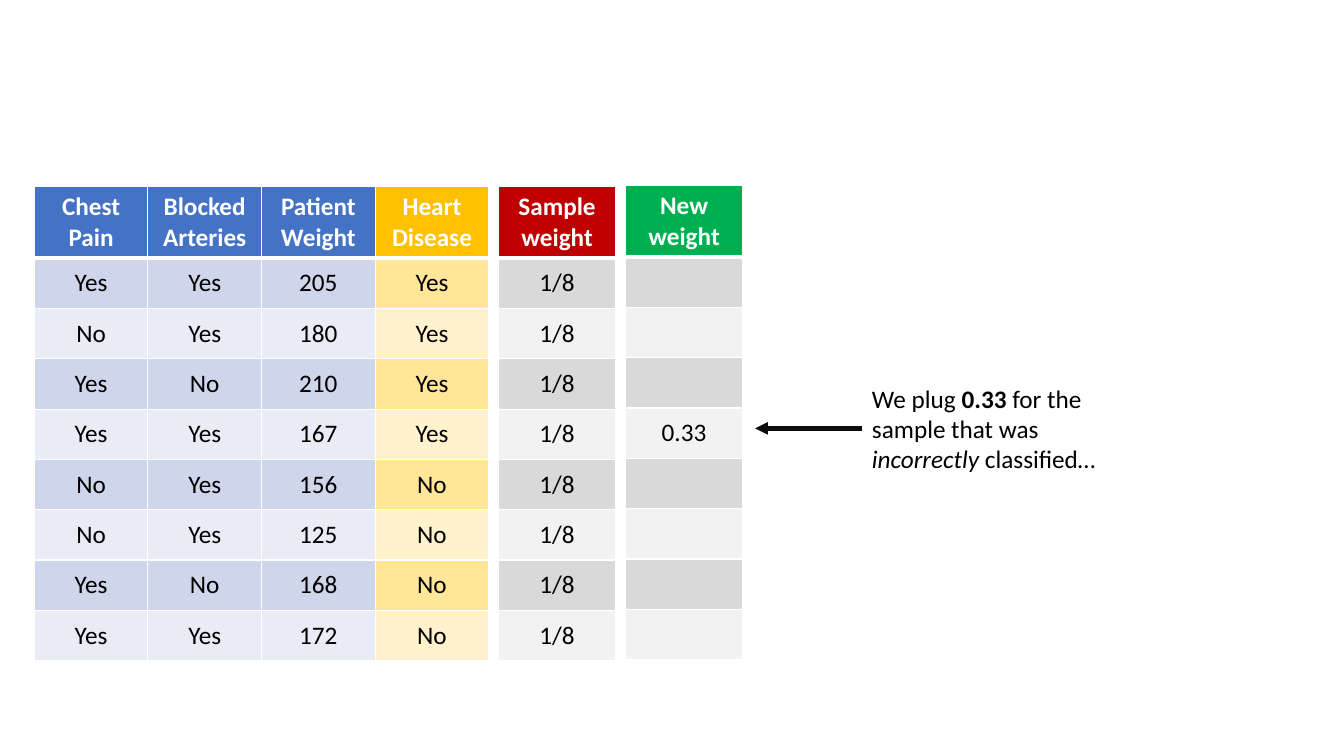
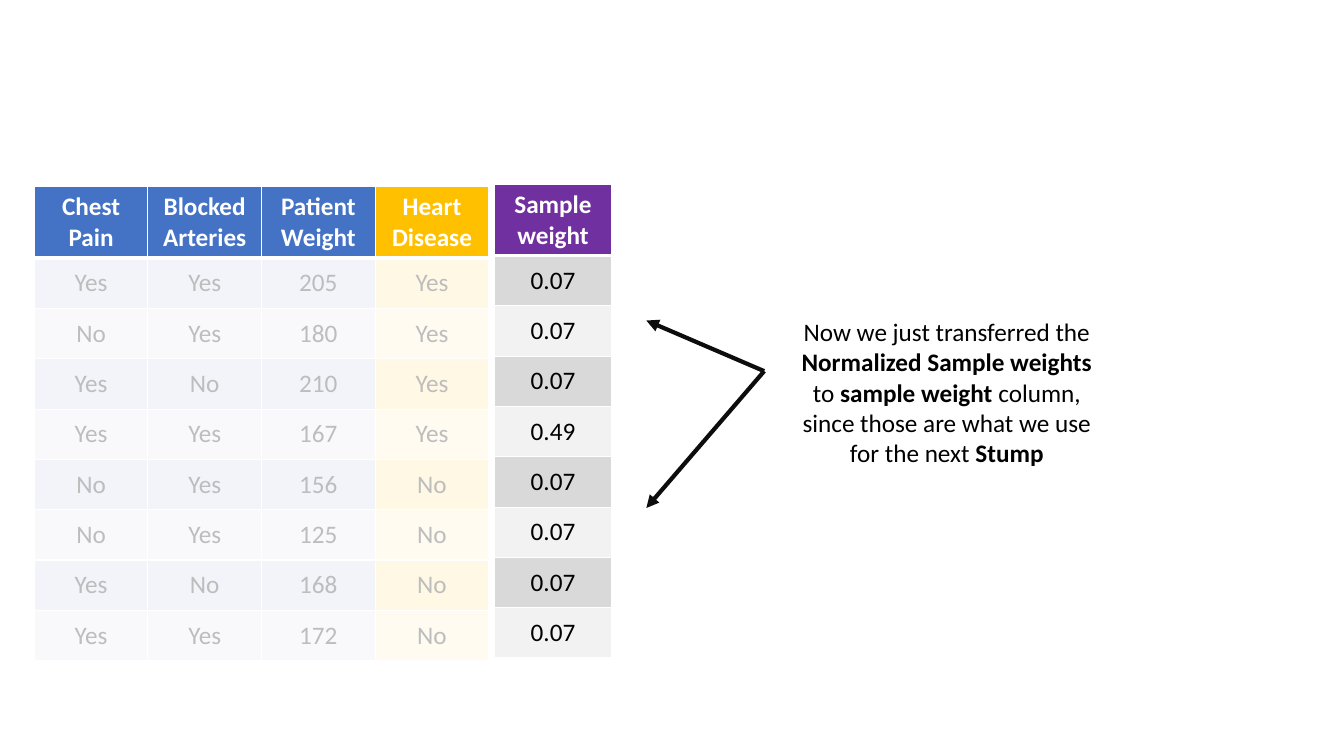
from dataclasses import dataclass

from lxml.etree import SubElement
from pptx import Presentation
from pptx.dml.color import RGBColor
from pptx.enum.shapes import MSO_CONNECTOR, MSO_SHAPE
from pptx.enum.text import MSO_ANCHOR, PP_ALIGN
from pptx.oxml import parse_xml
from pptx.oxml.ns import nsdecls, qn
from pptx.util import Inches, Pt

SLIDE_WIDTH, SLIDE_HEIGHT = Inches(13.33), Inches(7.5)
FONT = "Calibri"
WHITE, BLACK, ARROW = "FFFFFF", "000000", "0D0D0D"
BLUE, AMBER, RED, GREEN, PURPLE = "4472C4", "FFC000", "C00000", "00B050", "7030A0"
BLUE_BANDS = ("CFD5EA", "E9EBF5")
AMBER_BANDS = ("FFE699", "FFF2CC")
GREY_BANDS = ("D9D9D9", "F2F2F2")
HEADER_SHARE, ROW_COUNT = 0.15, 8


@dataclass
class Box:
    """Edges in percent of the slide."""

    left: float
    top: float
    width: float
    height: float

    def point(self, across, down):
        return (
            int(SLIDE_WIDTH * (self.left + across * self.width) / 100),
            int(SLIDE_HEIGHT * (self.top + down * self.height) / 100),
        )

    def extent(self):
        left, top = self.point(0, 0)
        right, bottom = self.point(1, 1)
        return left, top, right - left, bottom - top


@dataclass
class Column:
    heading: str
    values: list
    color: str
    bands: tuple


PATIENT_COLUMNS = [
    Column("Chest Pain", "Yes No Yes Yes No No Yes Yes".split(), BLUE, BLUE_BANDS),
    Column("Blocked\nArteries", "Yes Yes No Yes Yes Yes No Yes".split(), BLUE, BLUE_BANDS),
    Column("Patient Weight", "205 180 210 167 156 125 168 172".split(), BLUE, BLUE_BANDS),
    Column("Heart Disease", ["Yes"] * 4 + ["No"] * 4, AMBER, AMBER_BANDS),
]
PATIENT_BOX = Box(2.55, 24.67, 33.83, 62.67)


def rgb(color):
    return RGBColor.from_string(color)


def write(frame, text, color=BLACK, size=18, bold=False, align=PP_ALIGN.LEFT):
    runs = [(text, "")] if isinstance(text, str) else text
    paragraph = frame.paragraphs[0]
    paragraph.alignment = align
    for content, style in runs:
        for number, line in enumerate(content.split("\n")):
            if number:
                paragraph = frame.add_paragraph()
                paragraph.alignment = align
            run = paragraph.add_run()
            run.text = line
            run.font.name = FONT
            run.font.size = Pt(size)
            run.font.color.rgb = rgb(color)
            run.font.bold = bold or style == "bold"
            run.font.italic = style == "italic"


def set_borders(cell, top, bottom):
    properties = cell._tc.get_or_add_tcPr()
    for position, (side, width) in enumerate(
        [("L", 1), ("R", 1), ("T", top), ("B", bottom)]
    ):
        border = parse_xml(
            f'<a:ln{side} {nsdecls("a")} w="{Pt(width)}"><a:solidFill>'
            f'<a:srgbClr val="{WHITE}"/></a:solidFill></a:ln{side}>'
        )
        properties.insert(position, border)


def fill_cell(cell, text, color, heading):
    cell.fill.solid()
    cell.fill.fore_color.rgb = rgb(color)
    cell.vertical_anchor = MSO_ANCHOR.MIDDLE
    if text:
        write(cell.text_frame, text, color=WHITE if heading else BLACK,
              bold=heading, align=PP_ALIGN.CENTER)


def add_data_table(slide, box, columns):
    left, top, width, height = box.extent()
    table = slide.shapes.add_table(
        ROW_COUNT + 1, len(columns), left, top, width, height
    ).table
    table.horz_banding = False
    header_height = int(height * HEADER_SHARE)
    for number, row in enumerate(table.rows):
        row.height = (height - header_height) // ROW_COUNT if number else header_height
    for x, column in enumerate(columns):
        table.columns[x].width = width // len(columns)
        for y, text in enumerate([column.heading, *column.values]):
            cell = table.cell(y, x)
            color = column.bands[(y - 1) % 2] if y else column.color
            fill_cell(cell, text, color, heading=y == 0)
            set_borders(cell, top=3 if y == 1 else 1, bottom=1 if y else 3)


def add_weight_table(slide, left, top, heading, values, color):
    column = Column(heading, values, color, GREY_BANDS)
    add_data_table(slide, Box(left, top, 8.78, 62.67), [column])


def add_note(slide, box, runs, align=PP_ALIGN.LEFT):
    frame = slide.shapes.add_textbox(*box.extent()).text_frame
    frame.word_wrap = True
    write(frame, runs, align=align)


def add_arrow(slide, box, start, end):
    arrow = slide.shapes.add_connector(
        MSO_CONNECTOR.STRAIGHT, *box.point(*start), *box.point(*end)
    )
    arrow.line.color.rgb = rgb(ARROW)
    arrow.line.width = Pt(3)
    SubElement(arrow.line._get_or_add_ln(), qn("a:tailEnd"), type="triangle")
    SubElement(arrow._element.spPr, qn("a:effectLst"))


def add_veil(slide, box, opacity):
    veil = slide.shapes.add_shape(MSO_SHAPE.RECTANGLE, *box.extent())
    veil.shadow.inherit = False
    veil.fill.solid()
    veil.fill.fore_color.rgb = rgb(WHITE)
    veil.line.fill.background()
    tint = veil._element.spPr.find(qn("a:solidFill"))[0]
    SubElement(tint, qn("a:alpha"), val=str(opacity * 1000))


def build_new_weight_slide(slide):
    add_data_table(slide, PATIENT_BOX, PATIENT_COLUMNS)
    add_weight_table(slide, 37.06, 24.67, "Sample weight", ["1/8"] * ROW_COUNT, RED)
    new_weights = ["", "", "", "0.33", "", "", "", ""]
    add_weight_table(slide, 46.51, 24.53, "New weight", new_weights, GREEN)
    add_note(slide, Box(64.14, 50, 20.86, 13.47), [
        ("We plug ", ""), ("0.33", "bold"), (" for the sample that was ", ""),
        ("incorrectly", "italic"), (" classified…", ""),
    ])
    add_arrow(slide, Box(56.19, 56.67, 7.95, 0), (1, 0), (0, 0))


def build_transfer_slide(slide):
    add_data_table(slide, PATIENT_BOX, PATIENT_COLUMNS)
    add_note(slide, Box(58.14, 41.2, 24.61, 21.6), [
        ("Now we just transferred the ", ""), ("Normalized Sample weights ", "bold"),
        ("to ", ""), ("sample weight ", "bold"),
        ("column, since those are what we use for the next ", ""), ("Stump", "bold"),
    ], align=PP_ALIGN.CENTER)
    add_veil(slide, Box(2.33, 34, 34.06, 53.33), opacity=74)
    for end in [(0, 0), (0, 1)]:
        add_arrow(slide, Box(48.09, 42.4, 8.77, 24.8), (1, 0.27), end)
    weights = ["0.07"] * 3 + ["0.49"] + ["0.07"] * 4
    add_weight_table(slide, 36.76, 24.4, "Sample weight", weights, PURPLE)


def main():
    deck = Presentation()
    deck.slide_width, deck.slide_height = SLIDE_WIDTH, SLIDE_HEIGHT
    blank = deck.slide_layouts[6]
    for build in (build_new_weight_slide, build_transfer_slide):
        build(deck.slides.add_slide(blank))
    deck.save("out.pptx")


if __name__ == "__main__":
    main()
